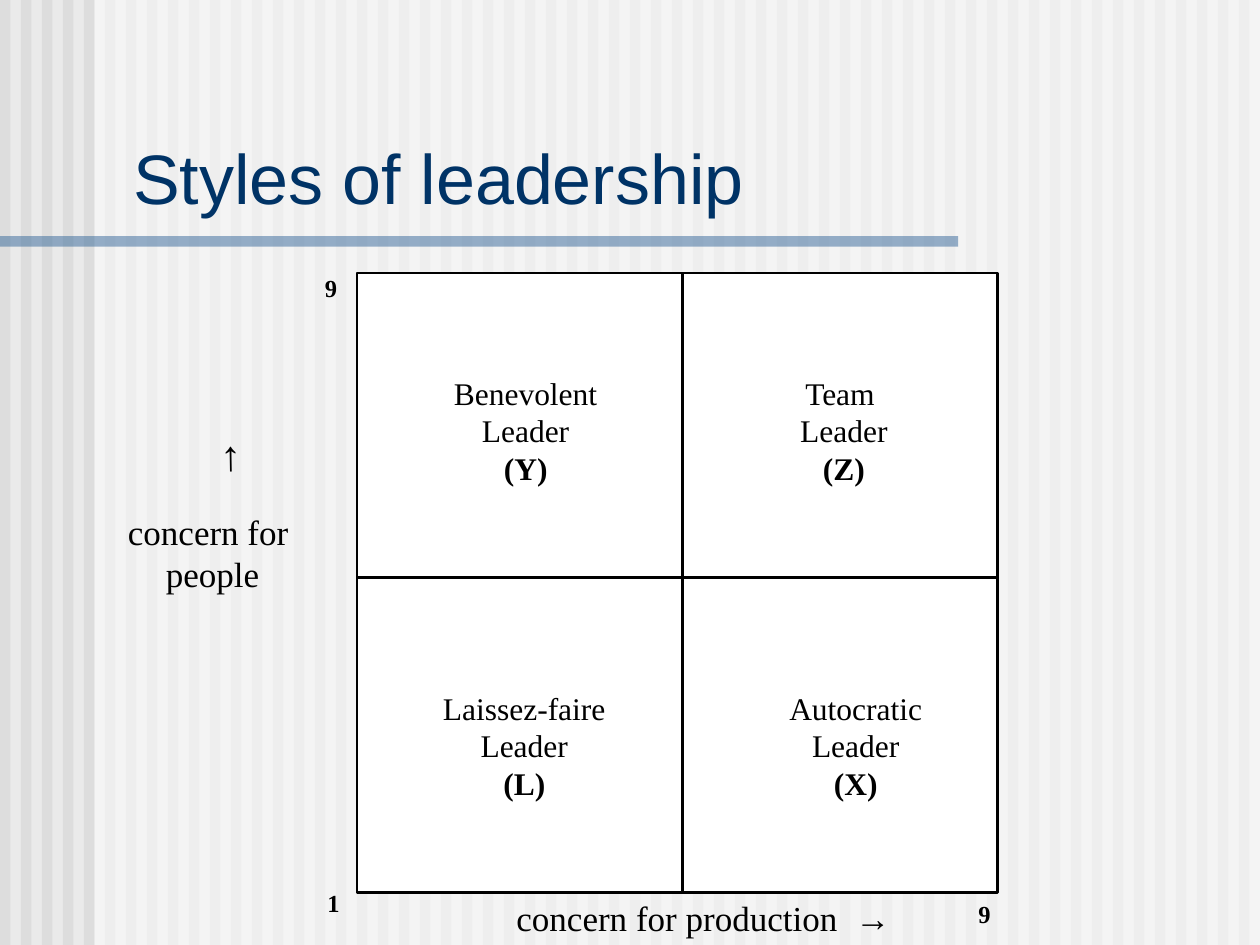
from collections import namedtuple

from lxml.etree import SubElement
from pptx import Presentation
from pptx.dml.color import RGBColor
from pptx.enum.shapes import MSO_CONNECTOR, MSO_SHAPE
from pptx.enum.text import MSO_ANCHOR, MSO_AUTO_SIZE, PP_ALIGN
from pptx.oxml.ns import qn
from pptx.util import Emu, Pt

EMU_PER_PX = 9525
BACKGROUND = RGBColor(0xEA, 0xEA, 0xEA)
STRIPE = RGBColor(0xDD, 0xDD, 0xDD)
WHITE = RGBColor(0xFF, 0xFF, 0xFF)
BLACK = RGBColor(0x00, 0x00, 0x00)
STEEL_BLUE = RGBColor(0x33, 0x66, 0x99)
NAVY = RGBColor(0x00, 0x33, 0x66)
SERIF, SANS = "Times New Roman", "Arial"

Box = namedtuple("Box", "left top width height")

TITLE = {"name": SANS, "size": Pt(40)}
AXIS = {"name": SERIF, "size": Pt(20)}
AXIS_ARROW = {"name": SANS, "size": Pt(20)}
UP_ARROW = {"name": SANS, "size": Pt(24)}
STYLE_NAME = {"name": SERIF, "size": Pt(18)}
STYLE_CODE = {**STYLE_NAME, "bold": True}
SCALE_END = {"name": SERIF, "size": Pt(14), "bold": True}

# Boxes are relative to the grid.
LEADERS = [
    (Box(55, 312, 145, 96), "Laissez-faire", "(L)"),
    (Box(63, 72, 131, 96), "Benevolent", "(Y)"),
    (Box(318, 312, 124, 96), "Autocratic", "(X)"),
    (Box(326, 72, 90, 96), "Team ", "(Z)"),
]
SCALE_ENDS = [
    (Box(-34, -5, 29, 33), "9"),
    (Box(464, 472, 29, 33), "9"),
    (Box(-32, 464, 29, 33), "1"),
]


def px(length):
    return Emu(length * EMU_PER_PX)


def inside(outer, inner):
    """Turn a box relative to outer into slide coordinates."""
    return inner._replace(left=outer.left + inner.left, top=outer.top + inner.top)


def add_rectangle(slide, box, color, opacity=100, line_width=None):
    shape = slide.shapes.add_shape(MSO_SHAPE.RECTANGLE, *map(px, box))
    shape.shadow.inherit = False
    shape.fill.solid()
    shape.fill.fore_color.rgb = color
    if opacity < 100:
        color_element = shape.fill._xPr.find(qn("a:solidFill"))[0]
        SubElement(color_element, qn("a:alpha")).set("val", str(opacity * 1000))
    if line_width:
        shape.line.color.rgb = BLACK
        shape.line.width = line_width
    else:
        shape.line.fill.background()


def add_line(slide, *ends):
    line = slide.shapes.add_connector(MSO_CONNECTOR.STRAIGHT, *map(px, ends))
    line.line.color.rgb = BLACK
    line.line.width = Pt(1.5)
    SubElement(line._element.spPr, qn("a:effectLst"))


def add_text(slide, box, paragraphs, color=BLACK, align=PP_ALIGN.LEFT, **frame_format):
    """Each paragraph is a list of (text, font format) runs."""
    shape = slide.shapes.add_textbox(*map(px, box))
    frame = shape.text_frame
    defaults = {"word_wrap": False, "auto_size": MSO_AUTO_SIZE.SHAPE_TO_FIT_TEXT}
    for attribute, value in {**defaults, **frame_format}.items():
        setattr(frame, attribute, value)
    for index, runs in enumerate(paragraphs):
        paragraph = frame.add_paragraph() if index else frame.paragraphs[0]
        paragraph.alignment = align
        for text, font_format in runs:
            run = paragraph.add_run()
            run.text = text
            run.font.color.rgb = color
            for attribute, value in font_format.items():
                setattr(run.font, attribute, value)
    return shape


def add_backdrop(slide, box):
    slide.background.fill.solid()
    slide.background.fill.fore_color.rgb = BACKGROUND
    for offset in range(0, box.width, 16):
        add_rectangle(slide, inside(box, Box(offset, 0, 8, box.height)), STRIPE)
    veil = Box(72, 0, box.width - 72, box.height)
    add_rectangle(slide, inside(box, veil), WHITE, opacity=50)


def add_heading(slide, box):
    add_rectangle(slide, inside(box, Box(0, 124, 730, 8)), STEEL_BLUE, opacity=50)
    add_text(slide, inside(box, Box(92, 0, 857, 115)), [[("Styles of leadership", TITLE)]],
             color=NAVY, word_wrap=True, auto_size=MSO_AUTO_SIZE.NONE,
             vertical_anchor=MSO_ANCHOR.BOTTOM)


def add_leader_grid(slide, box):
    right, bottom = box.left + box.width, box.top + box.height
    middle_x, middle_y = box.left + 248, box.top + 232
    add_rectangle(slide, box, WHITE, line_width=Pt(1.5))
    add_line(slide, middle_x, box.top, middle_x, bottom)
    add_line(slide, box.left, middle_y, right, middle_y)
    for place, name, code in LEADERS:
        lines = [[(name, STYLE_NAME)], [("Leader", STYLE_NAME)], [(code, STYLE_CODE)]]
        add_text(slide, inside(box, place), lines, align=PP_ALIGN.CENTER)


def add_axes(slide, grid):
    add_text(slide, inside(grid, Box(112, 470, 360, 42)),
             [[("concern for production  ", AXIS), ("→", AXIS_ARROW)]], word_wrap=True)
    add_text(slide, inside(grid, Box(-184, 176, 148, 74)),
             [[("concern for ", AXIS)], [("people", AXIS)]], align=PP_ALIGN.CENTER)
    arrow = add_text(slide, inside(grid, Box(-126, 121, 45, 48)), [[("→", UP_ARROW)]])
    arrow.rotation = 269
    for place, value in SCALE_ENDS:
        add_text(slide, inside(grid, place), [[(value, SCALE_END)]])


def main():
    presentation = Presentation()
    page = Box(0, 0, 960, 720)
    presentation.slide_width, presentation.slide_height = px(page.width), px(page.height)
    slide = presentation.slides.add_slide(presentation.slide_layouts[6])
    grid = Box(272, 208, 488, 472)
    add_backdrop(slide, page)
    add_heading(slide, Box(0, 56, 960, 132))
    add_leader_grid(slide, grid)
    add_axes(slide, grid)
    presentation.save("out.pptx")


if __name__ == "__main__":
    main()
